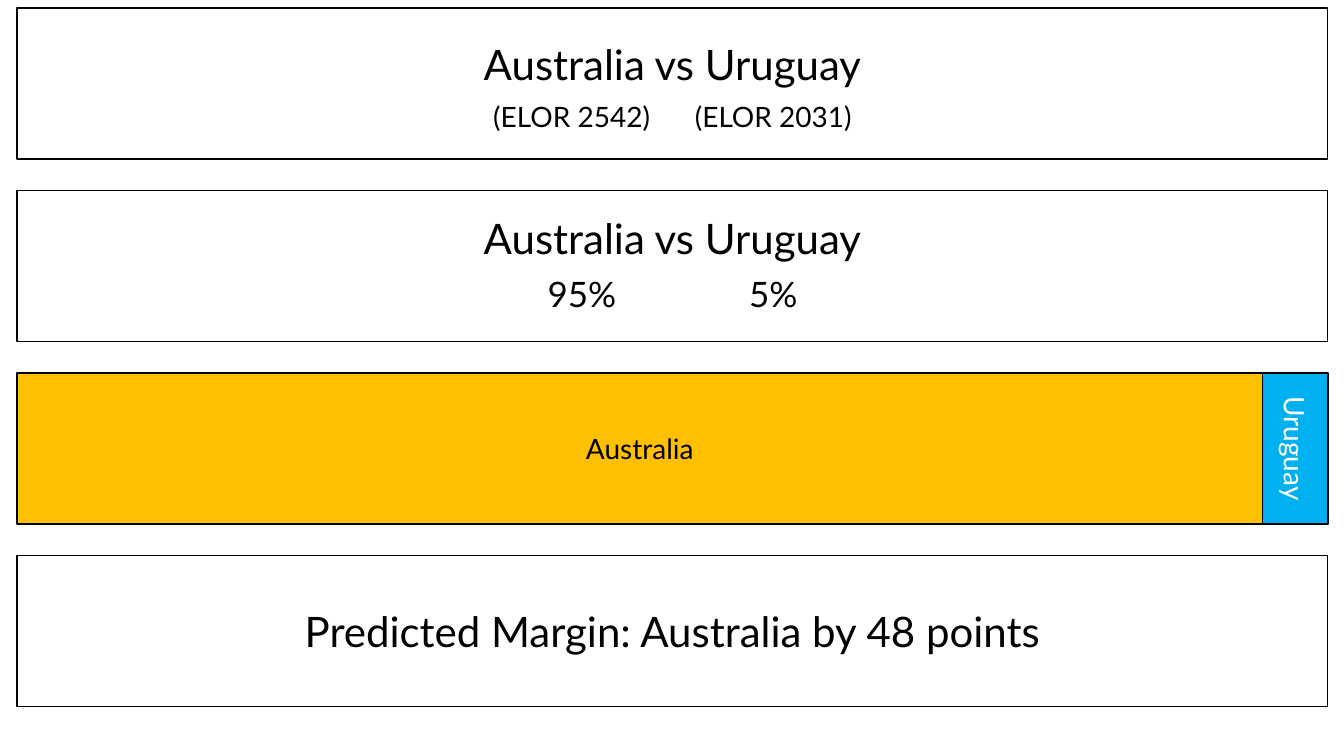
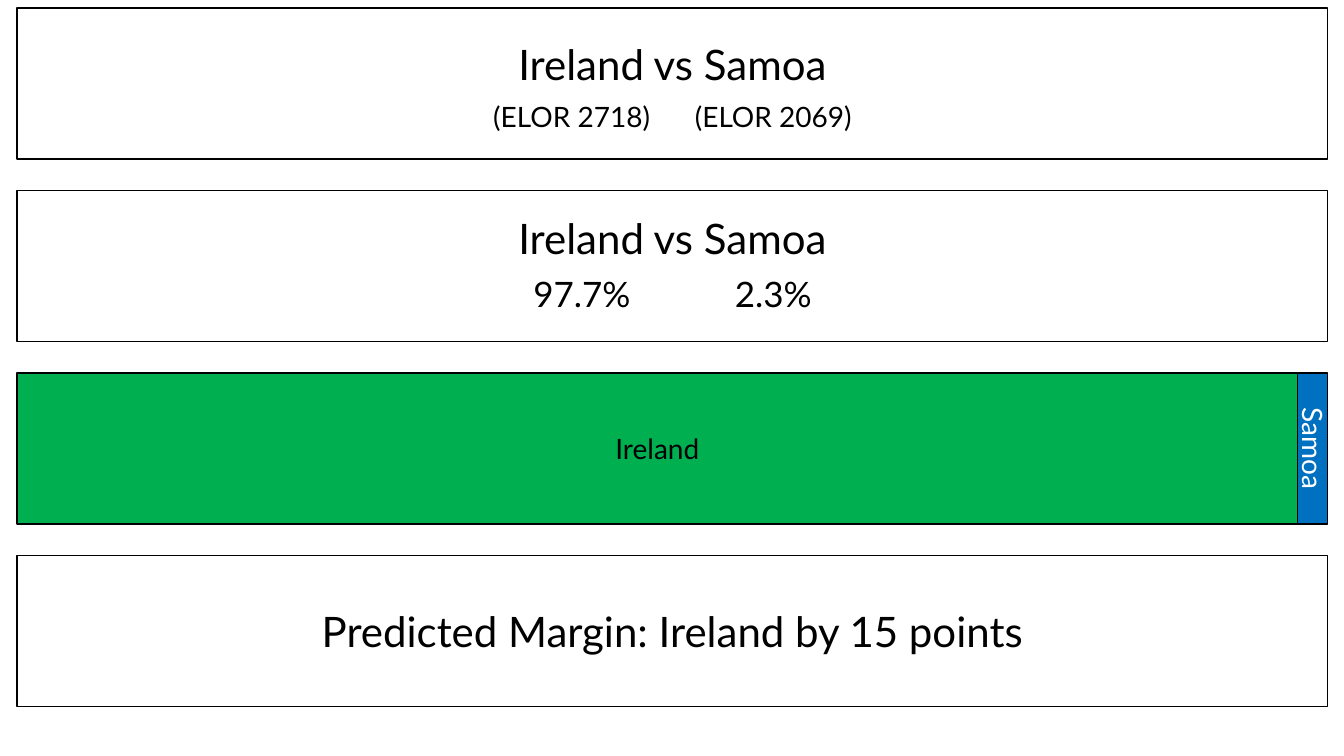
from dataclasses import dataclass

from lxml import etree
from pptx import Presentation
from pptx.dml.color import RGBColor
from pptx.enum.shapes import MSO_SHAPE
from pptx.enum.text import MSO_ANCHOR, MSO_AUTO_SIZE, PP_ALIGN
from pptx.oxml.ns import qn
from pptx.util import Inches, Pt

RECTANGLE = MSO_SHAPE.RECTANGLE
CENTER = PP_ALIGN.CENTER
TOP, MIDDLE = MSO_ANCHOR.TOP, MSO_ANCHOR.MIDDLE
NO_AUTOFIT = MSO_AUTO_SIZE.NONE

FONT = "Lato"
BLACK, WHITE = "000000", "FFFFFF"
HEADING_SIZE, ODDS_SIZE, DETAIL_SIZE = 30, 25, 20
HEADING_HEIGHT, ODDS_HEIGHT, DETAIL_HEIGHT = 0.61, 0.52, 0.44

LEFT, TOP_MARGIN, BAND_WIDTH, BAND_HEIGHT = 0.17, 0.08, 13, 1.5
BAND_PITCH = 1.81
SECOND_TEAM_TAB = 2
TITLE_ONLY_LAYOUT = 5


@dataclass
class Team:
    name: str
    rating: int
    color: str


@dataclass
class Match:
    favourite: Team
    outsider: Team
    win_percent: float
    margin: int

    @property
    def heading(self):
        return f"{self.favourite.name} vs {self.outsider.name}"


MATCHES = [
    Match(Team("Australia", 2542, "FFC000"), Team("Uruguay", 2031, "00B0F0"), 95, 48),
    Match(Team("Ireland", 2718, "00B050"), Team("Samoa", 2069, "0070C0"), 97.7, 15),
]


def rgb(color):
    return RGBColor.from_string(color)


def inches(*lengths):
    return [Inches(round(length, 2)) for length in lengths]


def add_tab_stop(paragraph, position):
    properties = paragraph._p.get_or_add_pPr()
    stops = etree.SubElement(properties, qn("a:tabLst"))
    etree.SubElement(stops, qn("a:tab"), pos=str(Inches(position)), algn="l")


def write(frame, text, size=HEADING_SIZE, color=BLACK, anchor=TOP, tab=None):
    frame.word_wrap = True
    frame.auto_size = NO_AUTOFIT
    frame.vertical_anchor = anchor
    frame.text = text
    paragraph = frame.paragraphs[0]
    paragraph.alignment = CENTER
    if tab:
        add_tab_stop(paragraph, tab)
    font = paragraph.font
    font.name, font.size = FONT, Pt(size)
    font.color.rgb = rgb(color)


def add_text(slide, text, box, rotation=0, **text_format):
    label = slide.shapes.add_textbox(*inches(*box))
    label.rotation = rotation
    write(label.text_frame, text, **text_format)


def add_panel(slide, box, fill=WHITE):
    panel = slide.shapes.add_shape(RECTANGLE, *inches(*box))
    panel.shadow.inherit = False
    panel.fill.solid()
    panel.fill.fore_color.rgb = rgb(fill)
    panel.line.color.rgb = rgb(BLACK)
    panel.line.width = Pt(1)


def add_ratings(slide, match, box):
    """Slide title with both teams' ratings beneath it."""
    left, top, width, _ = box
    add_panel(slide, box)
    title = slide.shapes.title
    title.left, title.top, title.width, title.height = inches(
        left, top + 0.25, width, HEADING_HEIGHT)
    write(title.text_frame, match.heading, anchor=MIDDLE)
    slide.shapes._spTree.append(title._element)  # bring in front of the panel
    add_text(slide, f"(ELOR {match.favourite.rating})\t(ELOR {match.outsider.rating})",
             (left, top + 0.86, width, DETAIL_HEIGHT),
             size=DETAIL_SIZE, tab=SECOND_TEAM_TAB)


def add_odds(slide, match, box):
    left, top, width, _ = box
    add_panel(slide, box)
    add_text(slide, match.heading, (left, top + 0.17, width, HEADING_HEIGHT))
    add_text(slide, f"{match.win_percent:g}%\t{100 - match.win_percent:g}%",
             (left, top + 0.76, width, ODDS_HEIGHT),
             size=ODDS_SIZE, tab=SECOND_TEAM_TAB)


def add_chance_bar(slide, match, box):
    """Band split between the teams in proportion to their chances."""
    left, top, width, height = box
    favourite_width = width * match.win_percent / 100
    outsider_width = width - favourite_width
    split = left + favourite_width
    add_panel(slide, (left, top, favourite_width, height), match.favourite.color)
    add_panel(slide, (split, top, outsider_width, height), match.outsider.color)

    label_top = top + (height - DETAIL_HEIGHT) / 2
    add_text(slide, match.favourite.name,
             (left, label_top, favourite_width, DETAIL_HEIGHT), size=DETAIL_SIZE)
    add_text(slide, match.outsider.name,
             (split + (outsider_width - height) / 2, label_top, height, DETAIL_HEIGHT),
             rotation=90, size=DETAIL_SIZE, color=WHITE)


def add_margin(slide, match, box):
    left, top, width, height = box
    add_panel(slide, box)
    add_text(slide,
             f"Predicted Margin: {match.favourite.name} by {match.margin} points",
             (left, top + (height - HEADING_HEIGHT) / 2, width, HEADING_HEIGHT))


def add_match_slide(deck, match):
    slide = deck.slides.add_slide(deck.slide_layouts[TITLE_ONLY_LAYOUT])
    bands = (add_ratings, add_odds, add_chance_bar, add_margin)
    for row, add_band in enumerate(bands):
        top = TOP_MARGIN + row * BAND_PITCH
        add_band(slide, match, (LEFT, top, BAND_WIDTH, BAND_HEIGHT))


def main():
    deck = Presentation()
    deck.slide_width, deck.slide_height = inches(13.33, 7.5)
    for match in MATCHES:
        add_match_slide(deck, match)
    deck.save("out.pptx")


if __name__ == "__main__":
    main()
